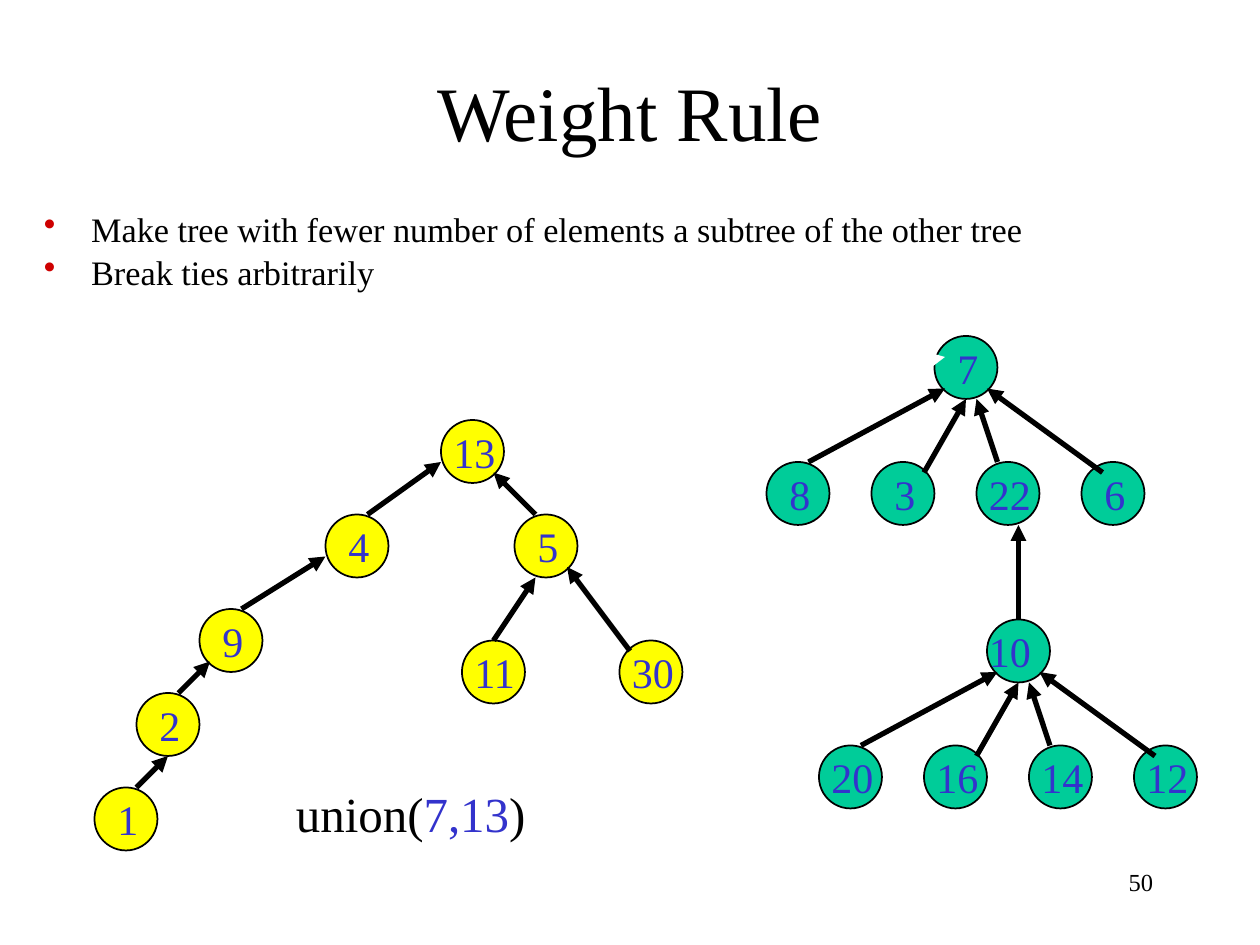
from lxml import etree
from pptx import Presentation
from pptx.dml.color import RGBColor
from pptx.enum.shapes import MSO_CONNECTOR, MSO_SHAPE
from pptx.enum.text import MSO_ANCHOR, PP_ALIGN
from pptx.oxml.ns import qn
from pptx.util import Pt

ELLIPSE = MSO_SHAPE.OVAL
STRAIGHT = MSO_CONNECTOR.STRAIGHT
TOP, MIDDLE = MSO_ANCHOR.TOP, MSO_ANCHOR.MIDDLE
LEFT, CENTER, RIGHT = PP_ALIGN.LEFT, PP_ALIGN.CENTER, PP_ALIGN.RIGHT

COLORS = {
    "black": "000000",
    "white": "FFFFFF",
    "blue": "3333CC",
    "yellow": "FFFF00",
    "green": "00CC99",
    "red": "CE0000",
}
FONT = "Times New Roman"
NODE_SIZE = 36
CHILD_STEP = 60

YELLOW_NODES = [
    ("13", 252, 240), ("4", 186, 294), ("5", 294, 294), ("9", 114, 348),
    ("11", 264, 366), ("30", 354, 366), ("2", 78, 396), ("1", 54, 450),
]
YELLOW_ARROWS = [
    ((210, 294), (252, 264)), ((306, 294), (282, 270)),
    ((138, 348), (186, 318)), ((102, 396), (120, 378)),
    ((282, 366), (306, 330)), ((360, 372), (324, 324)),
    ((78, 450), (96, 432)),
]
FAN_ARROWS = [
    ((-72, 72), (6, 30)), ((-6, 78), (18, 36)),
    ((36, 72), (24, 36)), ((96, 78), (30, 30)),
]


class SlideBuilder:
    """Draws styled text, tree nodes and arrows on one slide."""

    def __init__(self, slide):
        self.slide = slide

    def color(self, name):
        return RGBColor.from_string(COLORS[name])

    def text(self, box, paragraphs, size, align=LEFT, anchor=TOP):
        shape = self.slide.shapes.add_textbox(*map(Pt, box))
        frame = shape.text_frame
        frame.word_wrap = True
        frame.vertical_anchor = anchor
        for index, runs in enumerate(paragraphs):
            paragraph = frame.paragraphs[0] if index == 0 else frame.add_paragraph()
            paragraph.alignment = align
            paragraph.font.name = FONT
            paragraph.font.size = Pt(size)
            for words, color in runs:
                run = paragraph.add_run()
                run.text = words
                run.font.color.rgb = self.color(color)
        return frame

    def bullets(self, box, items, size):
        frame = self.text(box, [[(item, "black")] for item in items], size)
        for index, paragraph in enumerate(frame.paragraphs):
            paragraph.line_spacing = 0.8
            paragraph.space_before = Pt(5.6 if index else 0)
            properties = paragraph._p.get_or_add_pPr()
            properties.set("marL", str(Pt(27)))
            properties.set("indent", str(-Pt(27)))
            bullet = etree.Element(qn("a:buChar"), char="•")
            bullet_color = etree.Element(qn("a:buClr"))
            etree.SubElement(bullet_color, qn("a:srgbClr"), val=COLORS["red"])
            default_font = properties.find(qn("a:defRPr"))
            default_font.addprevious(bullet_color)
            default_font.addprevious(bullet)

    def node(self, label, left, top, fill, label_shift=None):
        shape = self.slide.shapes.add_shape(
            ELLIPSE, Pt(left), Pt(top), Pt(NODE_SIZE), Pt(NODE_SIZE))
        shape.shadow.inherit = False
        shape.fill.solid()
        shape.fill.fore_color.rgb = self.color(fill)
        shape.line.color.rgb = self.color("black")
        shape.line.width = Pt(1)
        single = len(label) == 1
        if label_shift is None:
            label_shift = 6 if single else 0
        box = (left + label_shift, top, 24 if single else 54, NODE_SIZE)
        self.text(box, [[(label, "blue")]], 24)

    def arrow(self, start, end, color="black"):
        connector = self.slide.shapes.add_connector(
            STRAIGHT, *map(Pt, (*start, *end)))
        connector.line.color.rgb = self.color(color)
        connector.line.width = Pt(3)
        line = connector.line._get_or_add_ln()
        etree.SubElement(line, qn("a:tailEnd"), type="triangle")
        etree.SubElement(connector._element.spPr, qn("a:effectLst"))

    def fan(self, root, left, top, children, label_shift=None):
        self.node(root, left, top, "green", label_shift)
        for index, child in enumerate(children):
            self.node(child, left - 96 + index * CHILD_STEP, top + 72, "green")
        for start, end in FAN_ARROWS:
            self.arrow((left + start[0], top + start[1]),
                       (left + end[0], top + end[1]))


def main():
    presentation = Presentation()
    presentation.slide_width, presentation.slide_height = Pt(720), Pt(540)
    slide = presentation.slides.add_slide(presentation.slide_layouts[6])
    builder = SlideBuilder(slide)

    builder.text((54, 18, 612, 90), [[("Weight Rule", "black")]], 44, CENTER, MIDDLE)
    builder.bullets((18, 120, 702, 48), [
        "Make tree with fewer number of elements a subtree of the other tree",
        "Break ties arbitrarily",
    ], 19.6)

    for label, left, top in YELLOW_NODES:
        builder.node(label, left, top, "yellow")
    for start, end in YELLOW_ARROWS:
        builder.arrow(start, end)

    builder.fan("7", 534, 192, ["8", "3", "22", "6"])
    builder.fan("10", 564, 354, ["20", "16", "14", "12"], label_shift=-6)
    builder.arrow((582, 354), (582, 300))

    union = [("union(", "black"), ("7,13", "blue"), (")", "black")]
    builder.text((162, 444, 186, 41), [union], 28)
    builder.arrow((288, 252), (540, 204), "white")
    builder.text((516, 492, 150, 36), [[("50", "black")]], 14, RIGHT)

    presentation.save("out.pptx")


if __name__ == "__main__":
    main()
